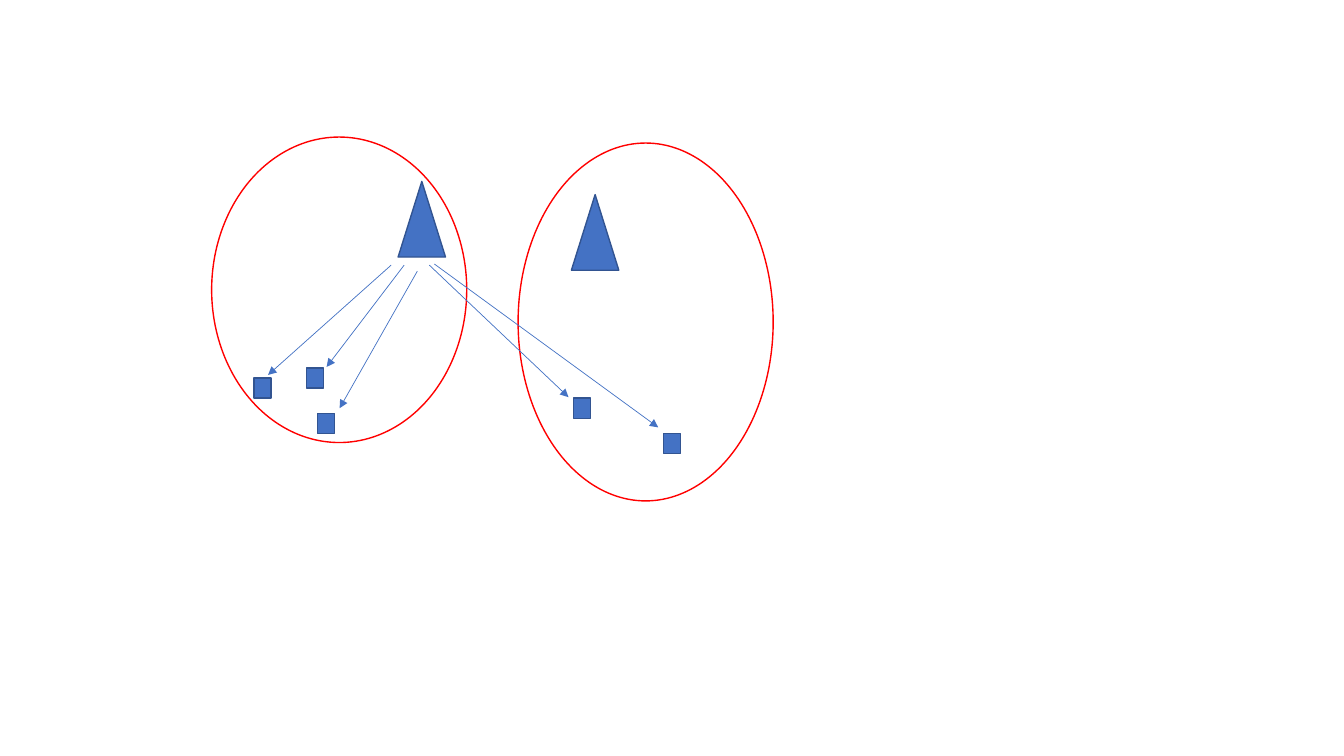
from lxml.etree import SubElement
from pptx import Presentation
from pptx.dml.color import RGBColor
from pptx.enum.shapes import MSO_CONNECTOR, MSO_SHAPE
from pptx.oxml.ns import qn
from pptx.util import Pt

BLUE = RGBColor(0x44, 0x72, 0xC4)
DARK_BLUE = RGBColor(0x32, 0x54, 0x91)
RED = RGBColor(0xFF, 0x00, 0x00)

NODE_SIZE = (12.24, 14.4)
STATION_SIZE = (33.84, 54)

NODES = [(181.4, 270), (226.8, 295.2), (218.9, 262.8), (409.7, 284.4), (473.8, 309.6)]
STATIONS = [(284.4, 129.6), (408.2, 139)]
CELLS = [((151.2, 97.9), (182.2, 218.2)), ((370.1, 102.2), (182.2, 255.6))]
SIGNALS = [
    ((279.4, 189.4), (191.5, 267.8)),
    ((298.1, 193.7), (242.6, 291.6)),
    ((288.7, 189.4), (233.3, 262.1)),
    ((306.7, 189.4), (406.1, 283.7)),
    ((310.3, 188.6), (470.2, 305.3)),
]


def add_figure(slide, preset, corner, size, outline, fill=None):
    figure = slide.shapes.add_shape(preset, *map(Pt, corner + size))
    figure.shadow.inherit = False
    if fill is None:
        figure.fill.background()
    else:
        figure.fill.solid()
        figure.fill.fore_color.rgb = fill
    figure.line.color.rgb = outline
    figure.line.width = Pt(1)


def add_arrow(slide, start, end):
    arrow = slide.shapes.add_connector(MSO_CONNECTOR.STRAIGHT, *map(Pt, start + end))
    arrow.line.color.rgb = BLUE
    arrow.line.width = Pt(0.5)
    SubElement(arrow.line._get_or_add_ln(), qn("a:tailEnd"), type="triangle")
    SubElement(arrow._element.spPr, qn("a:effectLst"))


def main():
    deck = Presentation()
    deck.slide_width, deck.slide_height = Pt(960), Pt(540)
    slide = deck.slides.add_slide(deck.slide_layouts[6])
    for corner in NODES:
        add_figure(slide, MSO_SHAPE.RECTANGLE, corner, NODE_SIZE, DARK_BLUE, BLUE)
    for corner, size in CELLS:
        add_figure(slide, MSO_SHAPE.OVAL, corner, size, RED)
    for corner in STATIONS:
        add_figure(slide, MSO_SHAPE.ISOSCELES_TRIANGLE, corner, STATION_SIZE, DARK_BLUE, BLUE)
    for start, end in SIGNALS:
        add_arrow(slide, start, end)
    deck.save("out.pptx")


if __name__ == "__main__":
    main()
